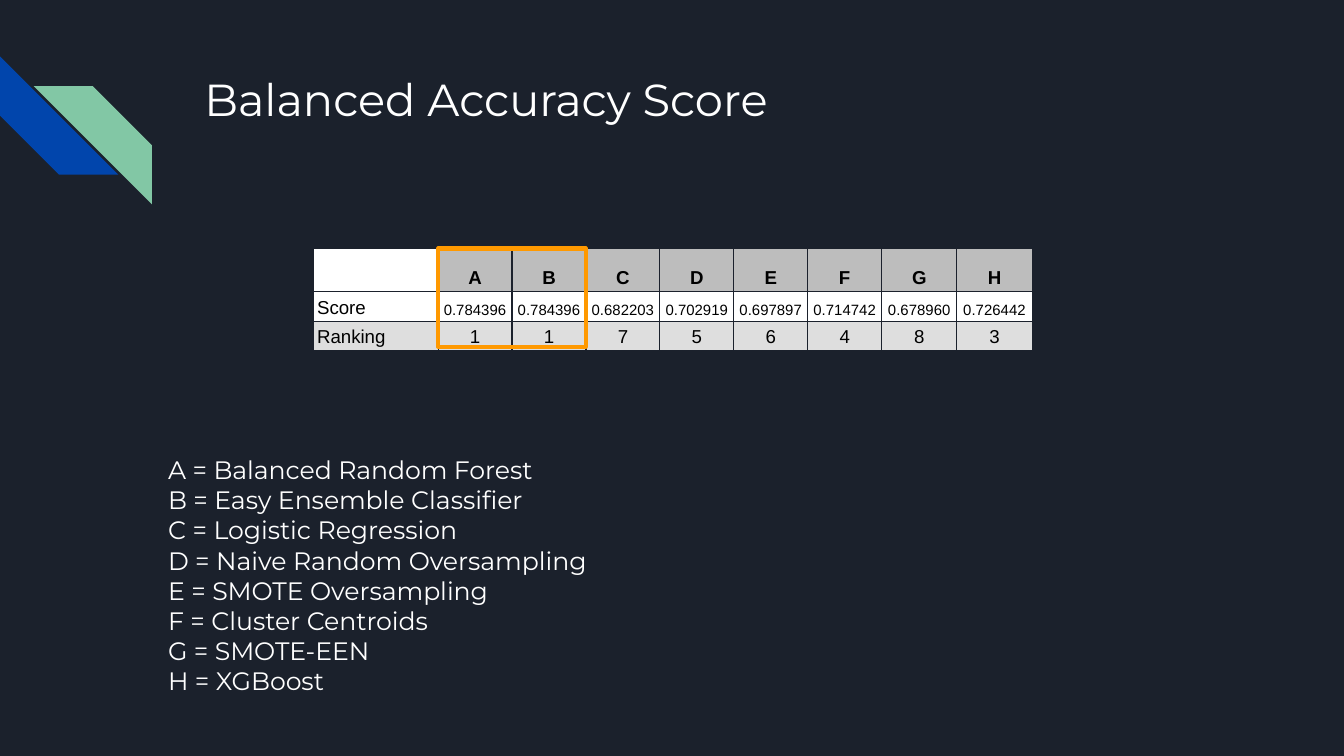
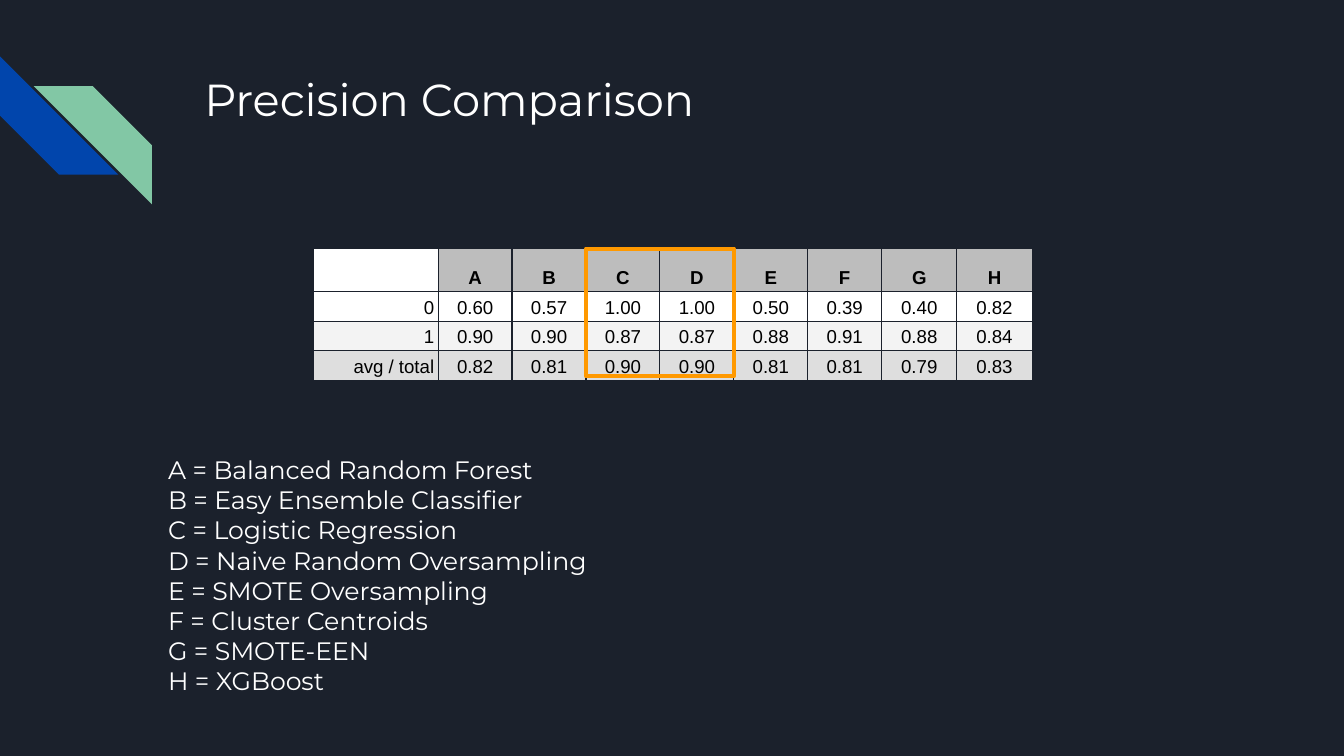
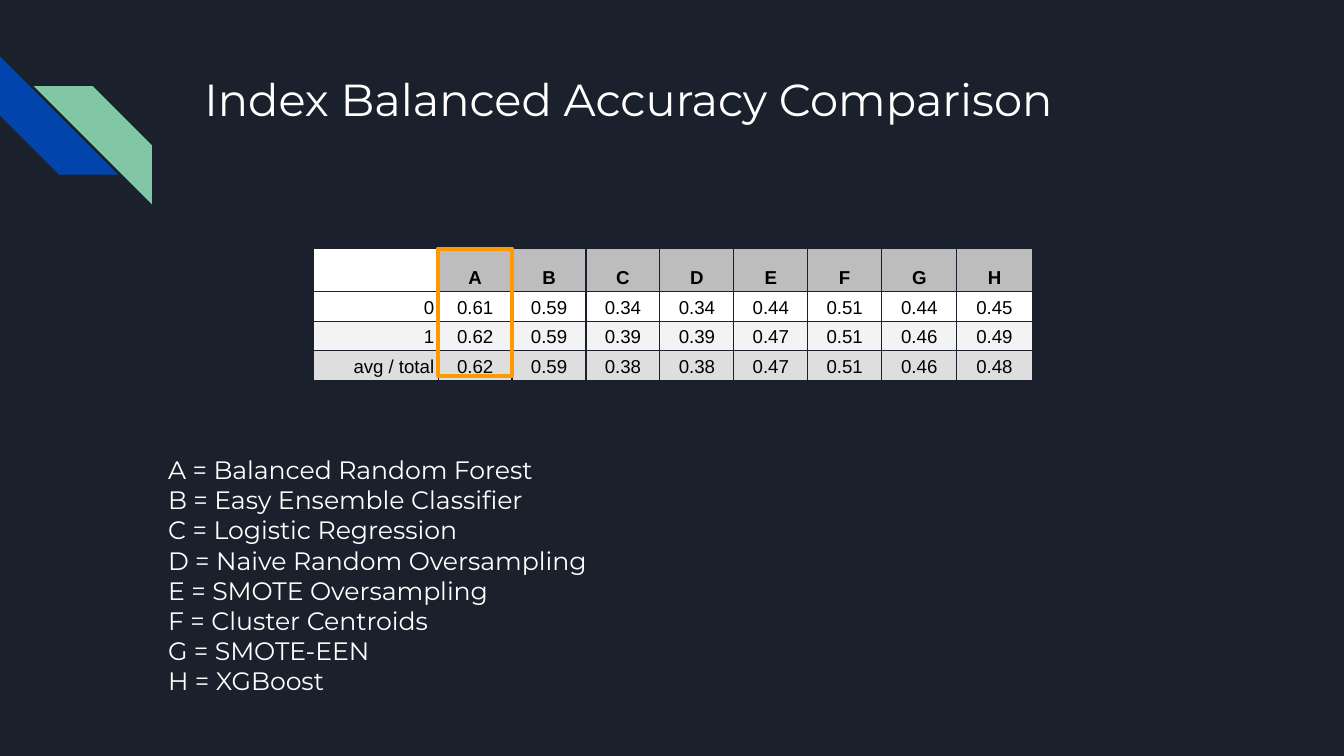
"""Build three slides that compare classifier scores."""
from lxml import etree
from pptx import Presentation
from pptx import util as u
from pptx.dml.color import RGBColor
from pptx.enum import shapes, text
from pptx.oxml.ns import qn

COLORS = {
    "background": "1B212C", "blue": "0145AC", "green": "82C7A5",
    "white": "FFFFFF", "black": "000000", "header": "BDBDBD",
    "light": "F3F3F3", "total": "DEDEDE", "highlight": "FF9900",
}
ALIGN = text.PP_ALIGN
SLIDE_WIDTH = u.Inches(10)
SLIDE_HEIGHT = SLIDE_WIDTH * 9 // 16
TITLE_BOX = (1.42, 0.43, 7.7, 1)
LEGEND_BOX = (1.15, 3.28, 7.7, 2.09)
TABLE_LEFT, TABLE_TOP = 2.33, 1.85
COLUMN_WIDTHS = [0.93] + [0.55] * 6 + [0.56] * 2
HEADER_HEIGHT, ROW_HEIGHT = 0.32, 0.22
MODELS = [
    "Balanced Random Forest", "Easy Ensemble Classifier",
    "Logistic Regression", "Naive Random Oversampling",
    "SMOTE Oversampling", "Cluster Centroids", "SMOTE-EEN", "XGBoost",
]
LETTERS = "ABCDEFGH"
LEGEND = [f"{letter} = {model}" for letter, model in zip(LETTERS, MODELS)]
FRAME_FORMAT = {
    "word_wrap": True, "auto_size": text.MSO_AUTO_SIZE.NONE,
    "vertical_anchor": text.MSO_ANCHOR.TOP,
    "margin_left": u.Inches(0.1), "margin_right": u.Inches(0.1),
    "margin_top": u.Inches(0.1), "margin_bottom": u.Inches(0.1),
}
CELL_FORMAT = {
    "vertical_anchor": text.MSO_ANCHOR.BOTTOM,
    "margin_left": u.Inches(0.03), "margin_right": u.Inches(0.03),
    "margin_top": u.Inches(0.02), "margin_bottom": u.Inches(0.02),
}
COMPARISONS = [
    {
        "title": "Balanced Accuracy Score",
        "rows": {
            "Score": "0.784396 0.784396 0.682203 0.702919 "
                     "0.697897 0.714742 0.678960 0.726442",
            "Ranking": "1 1 7 5 6 4 8 3",
        },
        "label_align": ALIGN.LEFT, "first_row_size": 8,
        "best": "AB", "highlight_height": 0.73,
    },
    {
        "title": "Precision Comparison",
        "rows": {
            "0": "0.60 0.57 1.00 1.00 0.50 0.39 0.40 0.82",
            "1": "0.90 0.90 0.87 0.87 0.88 0.91 0.88 0.84",
            "avg / total": "0.82 0.81 0.90 0.90 0.81 0.81 0.79 0.83",
        },
        "label_align": ALIGN.RIGHT, "first_row_size": 10,
        "best": "CD", "highlight_height": 0.95,
    },
    {
        "title": "Index Balanced Accuracy Comparison",
        "rows": {
            "0": "0.61 0.59 0.34 0.34 0.44 0.51 0.44 0.45",
            "1": "0.62 0.59 0.39 0.39 0.47 0.51 0.46 0.49",
            "avg / total": "0.62 0.59 0.38 0.38 0.47 0.51 0.46 0.48",
        },
        "label_align": ALIGN.RIGHT, "first_row_size": 10,
        "best": "A", "highlight_height": 0.95,
    },
]


def color(name):
    """Return the named colour."""
    return RGBColor.from_string(COLORS[name])


def set_format(target, values):
    """Set every attribute in values on target."""
    for name, value in values.items():
        setattr(target, name, value)


def inches(box):
    """Convert the numbers of a box to lengths."""
    return [u.Inches(value) for value in box]


def paint(fill, name):
    """Make a fill solid in the named colour."""
    fill.solid()
    fill.fore_color.rgb = color(name)


def write(paragraph, words, size, font, color_name, bold=False):
    """Write one formatted run into a paragraph."""
    run = paragraph.add_run()
    run.text = words
    set_format(run.font, {"size": u.Pt(size), "name": font, "bold": bold})
    run.font.color.rgb = color(color_name)


def fill_placeholder(placeholder, box, lines, size):
    """Move a placeholder and write plain left-aligned lines in it."""
    set_format(placeholder, dict(zip(("left", "top", "width", "height"), inches(box))))
    frame = placeholder.text_frame
    set_format(frame, FRAME_FORMAT)
    for index, line in enumerate(lines):
        paragraph = frame.add_paragraph() if index else frame.paragraphs[0]
        set_format(paragraph, {"alignment": ALIGN.LEFT, "space_before": u.Pt(0)})
        properties = paragraph._p.get_or_add_pPr()
        properties.set("marL", "0")
        properties.set("indent", "0")
        etree.SubElement(properties, qn("a:buNone"))
        write(paragraph, line, size, "Montserrat", "white")


def add_stripes(slide, layout):
    """Draw the two diagonal stripes and move them to the layout."""
    stripes = [
        ((0, 0.42, 0.88, 0.88), "blue", 270, False),
        ((0.25, 0.64, 0.88, 0.88), "green", 0, True),
    ]
    for index, (box, fill, rotation, flipped) in enumerate(stripes):
        stripe = slide.shapes.add_shape(
            shapes.MSO_SHAPE.DIAGONAL_STRIPE, *inches(box))
        stripe.shadow.inherit = False
        stripe.rotation = rotation
        paint(stripe.fill, fill)
        stripe.line.fill.background()
        element = stripe._element
        if flipped:
            element.spPr.xfrm.set("flipH", "1")
        element.nvSpPr.cNvPr.set("id", str(20 + index))
        layout.shapes._spTree.append(element)


def add_borders(cell):
    """Give a cell thin borders in the background colour."""
    properties = cell._tc.get_or_add_tcPr()
    for side in ("lnL", "lnR", "lnT", "lnB"):
        line = etree.SubElement(properties, qn(f"a:{side}"), w=str(u.Pt(0.75)))
        solid = etree.SubElement(line, qn("a:solidFill"))
        etree.SubElement(solid, qn("a:srgbClr"), val=COLORS["background"])


def add_score_table(slide, rows, label_align, first_row_size):
    """Add the table with a header of letters and one row per measure."""
    grid = [["", *LETTERS]]
    grid += [[label, *values.split()] for label, values in rows.items()]
    fills = ["header", "white", "light"][:len(rows)] + ["total"]
    heights = [HEADER_HEIGHT] + [ROW_HEIGHT] * len(rows)
    box = (TABLE_LEFT, TABLE_TOP, sum(COLUMN_WIDTHS), sum(heights))
    table = slide.shapes.add_table(
        len(grid), len(COLUMN_WIDTHS), *inches(box)).table
    set_format(table, {"first_row": False, "horz_banding": False})
    for column, width in zip(table.columns, COLUMN_WIDTHS):
        column.width = u.Inches(width)
    for row, height in zip(table.rows, heights):
        row.height = u.Inches(height)
    for row, entries in enumerate(grid):
        for column, entry in enumerate(entries):
            cell = table.cell(row, column)
            add_borders(cell)
            set_format(cell, CELL_FORMAT)
            paint(cell.fill, fills[row] if entry else "white")
            if not entry:
                set_format(cell, {"margin_top": 0, "margin_bottom": 0})
                continue
            paragraph = cell.text_frame.paragraphs[0]
            paragraph.alignment = ALIGN.CENTER if column else label_align
            paragraph.line_spacing = 1.15
            size = first_row_size if row == 1 and column else 10
            write(paragraph, entry, size, "Arial", "black", bold=row == 0)


def add_highlight(slide, best, height):
    """Outline the columns of the best models."""
    first = LETTERS.index(best[0]) + 1
    left = TABLE_LEFT + sum(COLUMN_WIDTHS[:first])
    width = sum(COLUMN_WIDTHS[first:first + len(best)])
    outline = slide.shapes.add_shape(
        shapes.MSO_SHAPE.RECTANGLE, *inches((left, TABLE_TOP, width, height)))
    outline.shadow.inherit = False
    outline.fill.background()
    outline.line.width = u.Pt(2.25)
    outline.line.color.rgb = color("highlight")


def main():
    """Build and save the presentation."""
    presentation = Presentation()
    presentation.slide_width = SLIDE_WIDTH
    presentation.slide_height = SLIDE_HEIGHT
    paint(presentation.slide_master.background.fill, "background")
    layout = presentation.slide_layouts[1]
    for index, comparison in enumerate(COMPARISONS):
        slide = presentation.slides.add_slide(layout)
        if index == 0:
            add_stripes(slide, layout)
        title, legend = slide.placeholders
        fill_placeholder(title, TITLE_BOX, [comparison["title"]], 24)
        fill_placeholder(legend, LEGEND_BOX, LEGEND, 13.5)
        add_score_table(slide, comparison["rows"], comparison["label_align"],
                        comparison["first_row_size"])
        add_highlight(slide, comparison["best"], comparison["highlight_height"])
    presentation.save("out.pptx")


if __name__ == "__main__":
    main()
